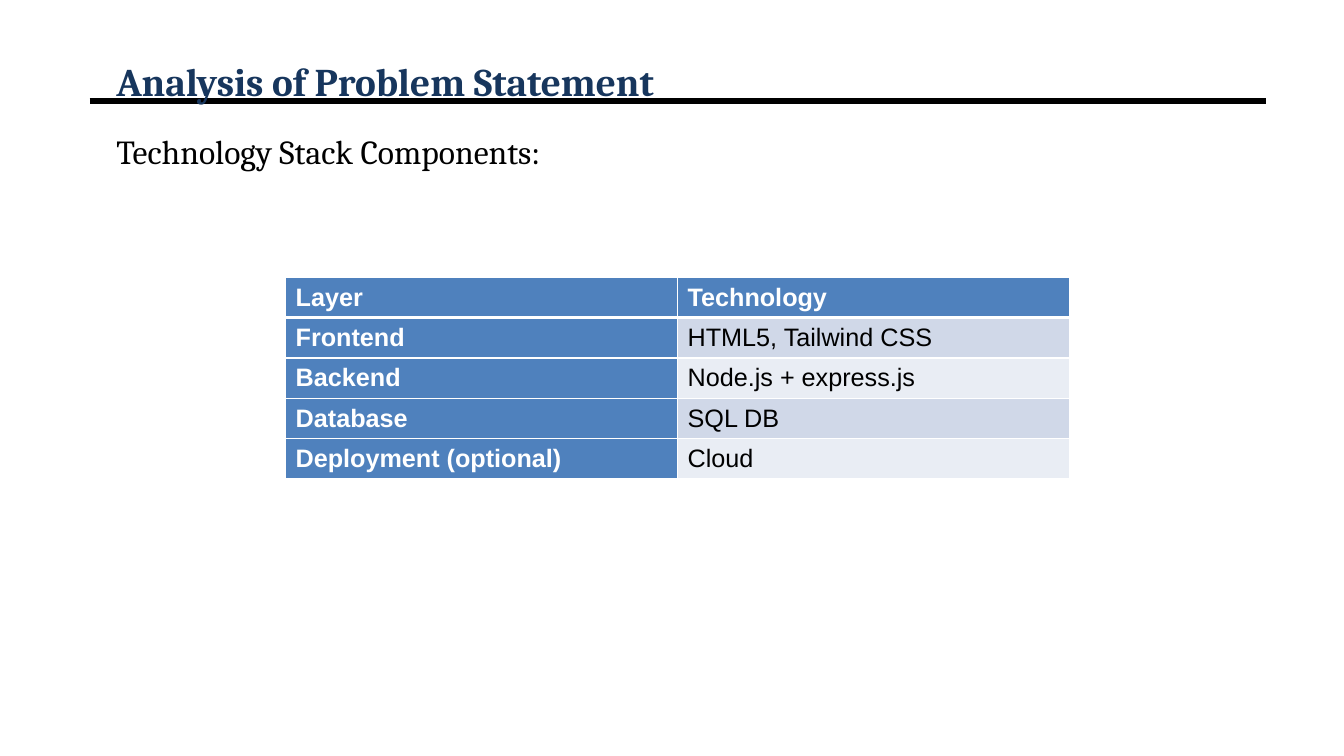
from lxml import etree
from pptx import Presentation
from pptx.dml.color import RGBColor
from pptx.enum import shapes, text
from pptx.oxml import ns
from pptx.util import Pt

COLORS = {
    "ink": "000000",
    "title": "17365D",
    "white": "FFFFFF",
    "header": "4F81BD",
    "band_dark": "D0D8E8",
    "band_light": "E9EDF4",
}
LEFT, WIDTH = 64, 840
STACK = [
    ("Layer", "Technology"),
    ("Frontend", "HTML5, Tailwind CSS"),
    ("Backend", "Node.js + express.js"),
    ("Database", "SQL DB"),
    ("Deployment (optional)", "Cloud"),
]


def rgb(name):
    return RGBColor.from_string(COLORS[name])


def style(paragraph, font_name, size, color, bold=False):
    for run in paragraph.runs:
        run.font.name = font_name
        run.font.size = Pt(size)
        run.font.bold = bold
        run.font.color.rgb = rgb(color)


def add_heading(slide, wording, left, top, width, height, indent, hanging=0):
    """Add a wrapped one-paragraph text box and return its text frame."""
    frame = slide.shapes.add_textbox(Pt(left), Pt(top), Pt(width), Pt(height)).text_frame
    frame.word_wrap = True
    frame.text = wording
    properties = frame.paragraphs[0]._p.get_or_add_pPr()
    properties.set("marL", str(Pt(indent)))
    properties.set("indent", str(Pt(-hanging)))
    return frame


def add_rule(slide, left, top, width):
    rule = slide.shapes.add_connector(
        shapes.MSO_CONNECTOR.STRAIGHT, Pt(left), Pt(top), Pt(left + width), Pt(top))
    rule.line.color.rgb = rgb("ink")
    rule.line.width = Pt(4.5)
    etree.SubElement(rule._element.spPr, ns.qn("a:effectLst"))


def add_title(slide, left, top, width, height):
    title = add_heading(slide, "Analysis of Problem Statement",
                        left, top, width, height, indent=12)
    title.vertical_anchor = text.MSO_ANCHOR.MIDDLE
    title.paragraphs[0].line_spacing = 2.0
    style(title.paragraphs[0], "Cambria", 28, "title", bold=True)


def add_body(slide, left, top, width, height):
    body = add_heading(slide, "Technology Stack Components:",
                       left, top, width, height, indent=27, hanging=15)
    body.paragraphs[0].alignment = text.PP_ALIGN.JUSTIFY
    style(body.paragraphs[0], "Cambria", 24, "ink")


def set_borders(cell, bottom):
    properties = cell._tc.get_or_add_tcPr()
    for place, (side, width) in enumerate(
            [("lnL", 1), ("lnR", 1), ("lnT", 1), ("lnB", bottom)]):
        border = etree.Element(ns.qn(f"a:{side}"), w=str(Pt(width)))
        fill = etree.SubElement(border, ns.qn("a:solidFill"))
        etree.SubElement(fill, ns.qn("a:srgbClr"), val=COLORS["white"])
        properties.insert(place, border)


def add_stack_table(slide, left, top, width, height):
    table = slide.shapes.add_table(
        len(STACK), len(STACK[0]), Pt(left), Pt(top), Pt(width), Pt(height)).table
    table.first_col = True
    for row, entries in enumerate(STACK):
        for column, entry in enumerate(entries):
            heading = row == 0 or column == 0
            band = "band_dark" if row % 2 else "band_light"
            cell = table.cell(row, column)
            cell.text = entry
            cell.vertical_anchor = text.MSO_ANCHOR.MIDDLE
            cell.fill.solid()
            cell.fill.fore_color.rgb = rgb("header" if heading else band)
            style(cell.text_frame.paragraphs[0], "Arial", 18,
                  "white" if heading else "ink", bold=heading)
            set_borders(cell, bottom=3 if row == 0 else 1)


def main():
    deck = Presentation()
    deck.slide_width, deck.slide_height = Pt(960), Pt(540)
    slide = deck.slides.add_slide(deck.slide_layouts[6])
    add_rule(slide, LEFT, 72, WIDTH)
    add_title(slide, LEFT, 21.6, WIDTH, 38)
    add_body(slide, LEFT, 90, WIDTH, 390)
    add_stack_table(slide, 204, 198, 560, 144)
    deck.save("out.pptx")


if __name__ == "__main__":
    main()
